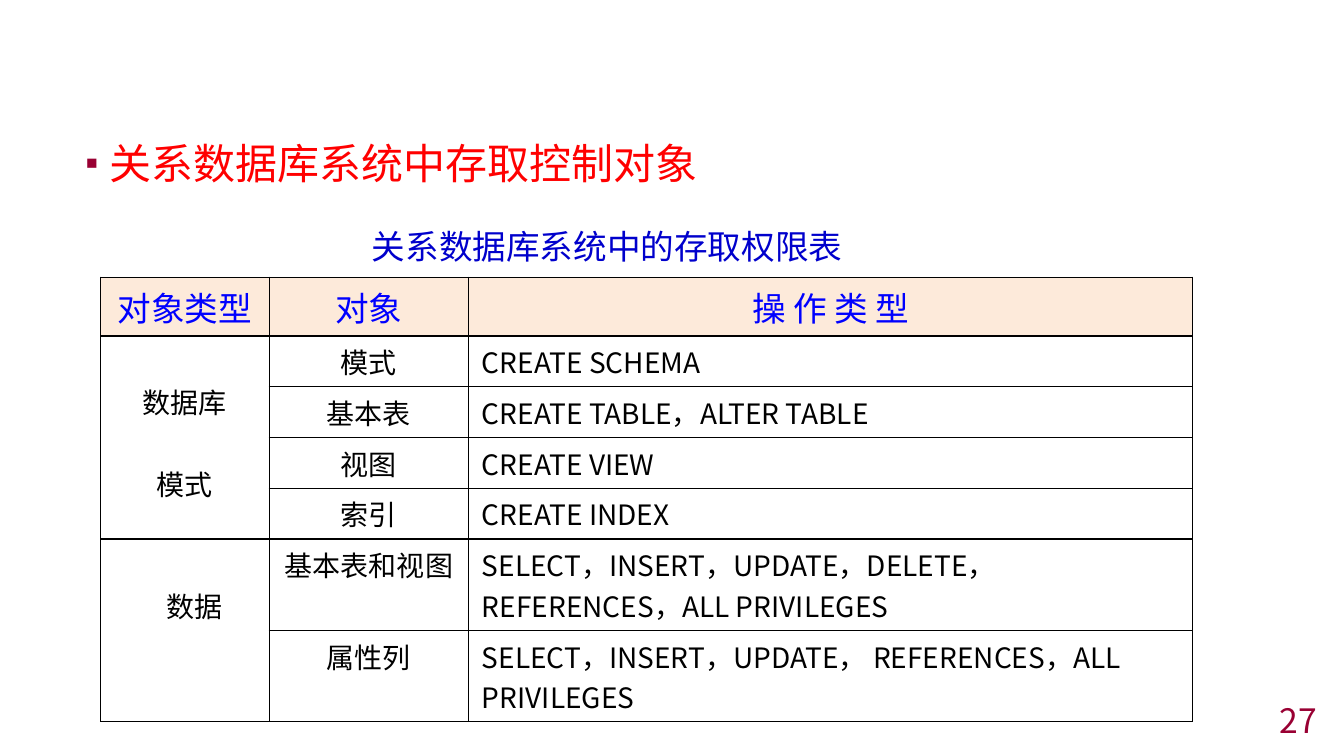
from dataclasses import dataclass
from lxml.etree import SubElement
from pptx import Presentation
from pptx.dml.color import RGBColor
from pptx.enum.text import MSO_ANCHOR, MSO_AUTO_SIZE, PP_ALIGN
from pptx.oxml.ns import qn
from pptx.util import Inches, Pt

FONT = "Noto Sans CJK SC"
COLORS = {
    "topic": "FF0000", "accent": "990033", "caption": "0000CC",
    "header": "0000FF", "header_fill": "FDEADA", "text": "000000",
}


@dataclass
class Row:
    cells: tuple[str, str, str]
    height: float


@dataclass
class Group:
    row: int
    last_row: int
    left: float


@dataclass
class Label:
    text: str
    box: tuple[float, float, float, float]
    color: str
    align: PP_ALIGN
    wrap: bool


ROWS = [
    Row(("对象类型", "对象", "操 作 类 型"), 0.49),
    Row(("数据库\n模式", "模式", "CREATE SCHEMA"), 0.43),
    Row(("", "基本表", "CREATE TABLE，ALTER TABLE"), 0.43),
    Row(("", "视图", "CREATE VIEW"), 0.43),
    Row(("", "索引", "CREATE INDEX"), 0.43),
    Row(("数据", "基本表和视图", "SELECT，INSERT，UPDATE，DELETE，REFERENCES，ALL PRIVILEGES"), 0.75),
    Row(("", "属性列", "SELECT，INSERT，UPDATE， REFERENCES，ALL PRIVILEGES"), 0.75),
]
GROUPS = [Group(1, 4, 0.13), Group(5, 6, 0.32)]
COLUMNS = (1.67, 1.98, 7.18)
LABELS = [
    Label("27", (10.33, 6.99, 2.83, 0.31), "accent", PP_ALIGN.RIGHT, True),
    Label("关系数据库系统中的存取权限表", (3.59, 2.19, 4.91, 0.5), "caption", PP_ALIGN.LEFT, False),
]


def format_text(tf, size: float, color: str, align: PP_ALIGN) -> None:
    for p in tf.paragraphs:
        p.alignment = align
        for r in p.runs:
            r.font.size = Pt(size)
            r.font.name = FONT
            r.font.bold = False
            r.font.color.rgb = RGBColor.from_string(COLORS[color])
            SubElement(r.font._element, qn("a:ea"), typeface=FONT)


def add_topic(s) -> None:
    sp = s.placeholders[1]
    sp.left, sp.top, sp.width, sp.height = map(Inches, (0.65, 1.24, 12.04, 5.91))
    tf = sp.text_frame
    tf.text = "关系数据库系统中存取控制对象"
    tf.auto_size = MSO_AUTO_SIZE.NONE
    format_text(tf, 30, "topic", PP_ALIGN.LEFT)
    p = tf.paragraphs[0]
    p.line_spacing = 1.14
    p.space_before = Pt(0)
    pPr = p._p.get_or_add_pPr()
    pPr.set("marL", str(Inches(0.29)))
    pPr.set("indent", str(-Inches(0.29)))
    SubElement(SubElement(pPr, qn("a:buClr")), qn("a:srgbClr"), val=COLORS["accent"])
    SubElement(pPr, qn("a:buSzPct"), val="80000")
    SubElement(pPr, qn("a:buFont"), typeface=FONT)
    SubElement(pPr, qn("a:buChar"), char="▪")


def add_label(s, label: Label) -> None:
    sp = s.shapes.add_textbox(*map(Inches, label.box))
    tf = sp.text_frame
    tf.text = label.text
    tf.word_wrap = label.wrap
    tf.vertical_anchor = MSO_ANCHOR.MIDDLE
    format_text(tf, 24, label.color, label.align)


def add_borders(cell) -> None:
    tcPr = cell._tc.get_or_add_tcPr()
    for i, side in enumerate(("lnL", "lnR", "lnT", "lnB")):
        ln = tcPr.makeelement(qn(f"a:{side}"), {"w": str(Pt(1))})
        SubElement(SubElement(ln, qn("a:solidFill")), qn("a:srgbClr"), val=COLORS["text"])
        tcPr.insert(i, ln)


def fill_cell(cell, text: str, is_header: bool, align: PP_ALIGN) -> None:
    cell.text = text
    cell.margin_left = cell.margin_right = Inches(0.13)
    cell.margin_top = cell.margin_bottom = Inches(0.05)
    if is_header:
        cell.fill.solid()
        cell.fill.fore_color.rgb = RGBColor.from_string(COLORS["header_fill"])
        format_text(cell.text_frame, 24, "header", align)
    else:
        cell.fill.background()
        format_text(cell.text_frame, 20, "text", align)
    add_borders(cell)


def add_rights_table(s) -> None:
    height = sum(row.height for row in ROWS)
    box = map(Inches, (1, 2.75, sum(COLUMNS), height))
    table = s.shapes.add_table(len(ROWS), len(COLUMNS), *box).table
    table.first_row = table.horz_banding = False
    for column, width in zip(table.columns, COLUMNS):
        column.width = Inches(width)
    for i, row in enumerate(ROWS):
        table.rows[i].height = Inches(row.height)
        for j, text in enumerate(row.cells):
            align = PP_ALIGN.LEFT if i and j == 2 else PP_ALIGN.CENTER
            fill_cell(table.cell(i, j), text, i == 0, align)
    for group in GROUPS:
        cell = table.cell(group.row, 0)
        cell.merge(table.cell(group.last_row, 0))
        cell.margin_left = Inches(group.left)
        cell.margin_top = Inches(0.45)
        for p in cell.text_frame.paragraphs[1:]:
            p.space_before = Pt(29)


def main() -> None:
    prs = Presentation()
    prs.slide_width, prs.slide_height = Inches(13.33), Inches(7.5)
    s = prs.slides.add_slide(prs.slide_layouts[1])
    title = s.shapes.title._element
    title.getparent().remove(title)
    add_topic(s)
    add_rights_table(s)
    for label in LABELS:
        add_label(s, label)
    prs.save("out.pptx")


if __name__ == "__main__":
    main()
